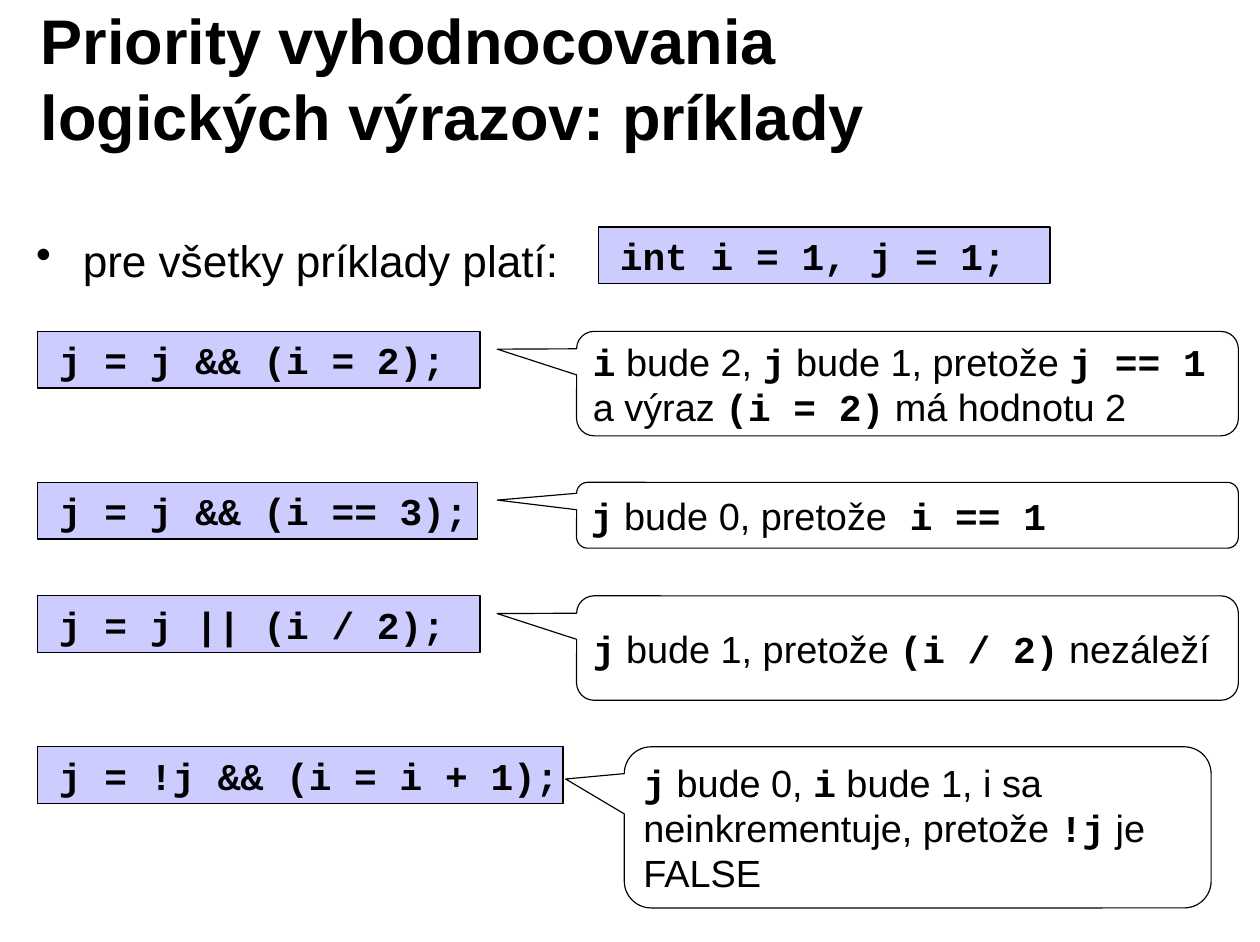
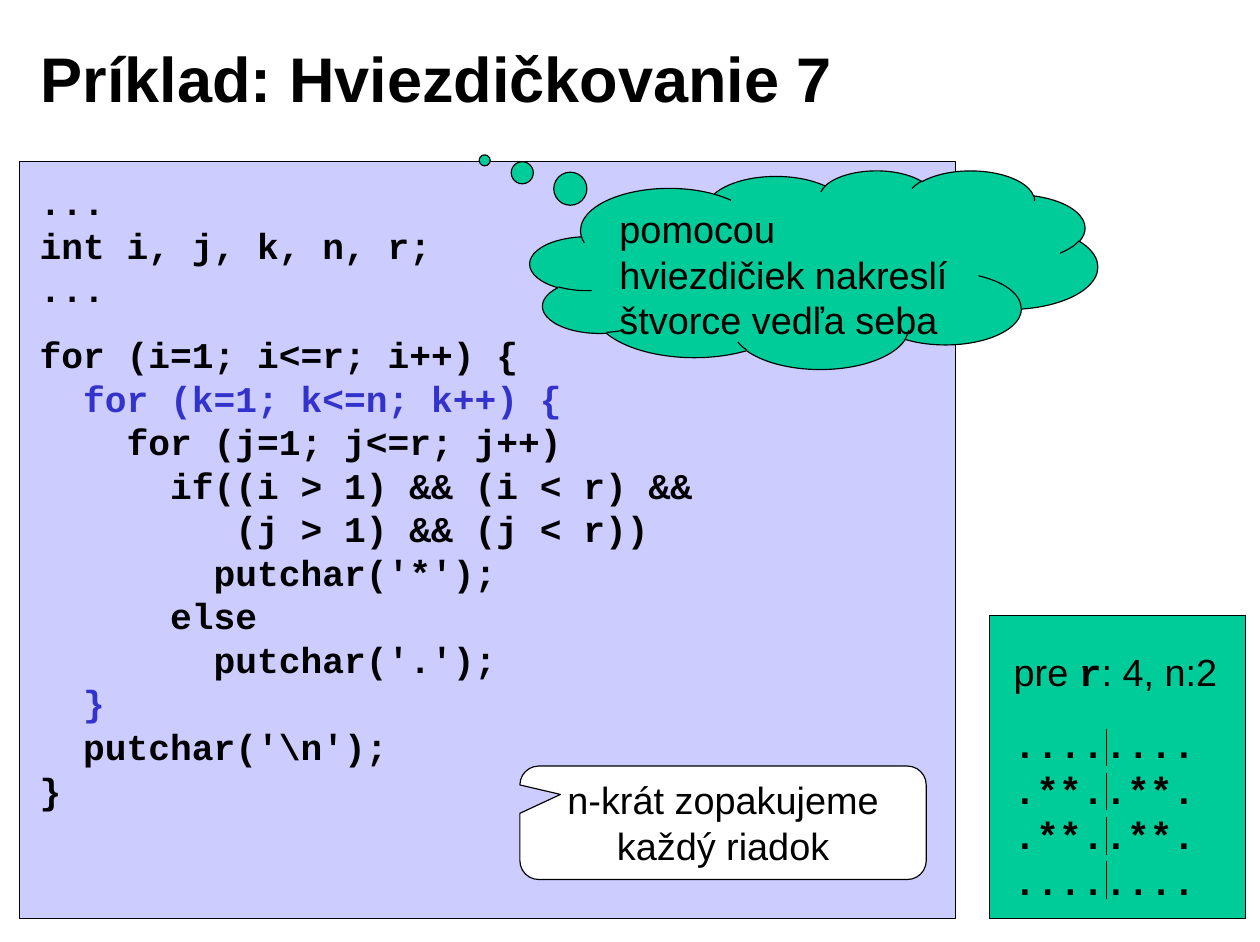
from dataclasses import dataclass

from lxml import etree
from pptx import Presentation
from pptx.dml.color import RGBColor
from pptx.enum.shapes import MSO_CONNECTOR, MSO_SHAPE
from pptx.enum.text import MSO_ANCHOR, PP_ALIGN
from pptx.oxml.ns import qn
from pptx.util import Inches, Pt

BLACK = RGBColor(0x00, 0x00, 0x00)
WHITE = RGBColor(0xFF, 0xFF, 0xFF)
LILAC = RGBColor(0xCC, 0xCC, 0xFF)
GREEN = RGBColor(0x00, 0xCC, 0x99)
BLUE = RGBColor(0x33, 0x33, 0xCC)

SANS, MONO = "Arial", "Courier New"
LEADING = 1.2
EDGE = Pt(0.75)

RECT = MSO_SHAPE.RECTANGLE
BUBBLE = MSO_SHAPE.ROUNDED_RECTANGULAR_CALLOUT
CLOUD = MSO_SHAPE.CLOUD_CALLOUT
STRAIGHT = MSO_CONNECTOR.STRAIGHT
TOP, MIDDLE = MSO_ANCHOR.TOP, MSO_ANCHOR.MIDDLE
LEFT, CENTER = PP_ALIGN.LEFT, PP_ALIGN.CENTER


@dataclass
class Area:
    left: float
    top: float
    width: float
    height: float

    def lengths(self):
        return [Inches(v) for v in (self.left, self.top, self.width, self.height)]


@dataclass
class Line:
    """One paragraph; parts between backticks are code."""
    text: str
    size: float = 24
    color: RGBColor = BLACK
    bold: bool = False
    gap: float = 0
    align: int = LEFT
    bullet: bool = False


@dataclass
class Example:
    """A code strip and the callout that explains it."""
    top: float
    width: float
    code: str
    note: str
    left: float
    span: float
    height: float
    tip: tuple


EXAMPLES = [
    Example(2.92, 3.9, "j = j && (i = 2);",
            "`i` bude 2, `j` bude 1, pretože `j == 1` a výraz `(i = 2)` má hodnotu 2",
            5.08, 5.83, 0.92, (-0.62, -0.33)),
    Example(4.25, 3.88, "j = j && (i == 3);",
            "`j` bude 0, pretože` i == 1`",
            5.08, 5.83, 0.58, (-0.62, -0.23)),
    Example(5.25, 3.9, "j = j || (i / 2);",
            "`j` bude 1, pretože `(i / 2)` nezáleží",
            5.08, 5.83, 0.92, (-0.62, -0.33)),
    Example(6.58, 4.63, "j = !j && (i = i + 1);",
            "`j` bude 0, `i` bude 1, i sa neinkrementuje, pretože `!j` je FALSE",
            5.5, 5.17, 1.42, (-0.6, -0.3)),
]

HEAD = """...
int i, j, k, n, r;
..."""
LOOP = """for (i=1; i<=r; i++) {
  for (k=1; k<=n; k++) {
    for (j=1; j<=r; j++)
      if((i > 1) && (i < r) &&
         (j > 1) && (j < r))
        putchar('*');
      else
        putchar('.');
  }
  putchar('\\n');
}"""
ADDED = ("  for (k=1; k<=n; k++) {", "  }")
STARS = ["........", ".**..**.", ".**..**.", "........"]


def write(frame, lines: list[Line], inset=(0.1, 0.05, 0.1, 0.05), anchor=TOP) -> None:
    frame.word_wrap = True
    frame.vertical_anchor = anchor
    (frame.margin_left, frame.margin_top,
     frame.margin_right, frame.margin_bottom) = [Inches(v) for v in inset]
    for i, line in enumerate(lines):
        para = frame.add_paragraph() if i else frame.paragraphs[0]
        para.alignment = line.align
        para.line_spacing = Pt(line.size * LEADING)
        if line.gap:
            para.space_before = Pt(line.gap)
        if line.bullet:
            props = para._p.get_or_add_pPr()
            props.set("marL", str(Inches(0.41)))
            props.set("indent", str(-Inches(0.41)))
            etree.SubElement(props, qn("a:buChar")).set("char", "•")
        parts = [(text, k % 2 == 1)
                 for k, text in enumerate(line.text.split("`")) if text]
        code = all(mono for _, mono in parts)
        font = para.font
        font.name = MONO if code else SANS
        font.size = Pt(line.size)
        font.bold = line.bold or code
        font.color.rgb = line.color
        for text, mono in parts:
            run = para.add_run()
            run.text = text
            if mono and not code:
                run.font.name = MONO
                run.font.bold = True


def add_text(slide, area: Area, line: Line, anchor=TOP) -> None:
    box = slide.shapes.add_textbox(*area.lengths())
    write(box.text_frame, [line], (0.11, 0.06, 0.11, 0.06), anchor)


def add_box(slide, kind, area: Area, fill: RGBColor, lines: list[Line],
            inset=(0.1, 0.05, 0.1, 0.05), anchor=TOP, tip=()) -> None:
    """Draw an outlined shape with text; tip is where a callout points."""
    shape = slide.shapes.add_shape(kind, *area.lengths())
    shape.shadow.inherit = False
    shape.fill.solid()
    shape.fill.fore_color.rgb = fill
    shape.line.color.rgb = BLACK
    shape.line.width = EDGE
    for i, value in enumerate(tip):
        shape.adjustments[i] = value
    write(shape.text_frame, lines, inset, anchor)


def add_strip(slide, area: Area, code: str) -> None:
    add_box(slide, RECT, area, LILAC, [Line(f"`{code}`")], (0.19, 0.05, 0, 0.05))


def add_rule(slide, x: float, top: float, height: float) -> None:
    rule = slide.shapes.add_connector(
        STRAIGHT, Inches(x), Inches(top), Inches(x), Inches(top + height))
    rule.line.color.rgb = BLACK
    rule.line.width = EDGE
    etree.SubElement(rule._element.spPr, qn("a:effectLst"))


def new_slide(deck, title: str):
    slide = deck.slides.add_slide(deck.slide_layouts[6])
    add_text(slide, Area(0.25, 0.17, 8.92, 1.02),
             Line(title, size=40, bold=True), MIDDLE)
    return slide


def priority_slide(deck) -> None:
    slide = new_slide(deck, "Priority vyhodnocovania logických výrazov: príklady")
    add_strip(slide, Area(5.27, 2, 3.98, 0.5), "int i = 1, j = 1;")
    add_text(slide, Area(0.21, 2, 10.67, 0.67),
             Line("pre všetky príklady platí:", size=28, bullet=True))
    for ex in EXAMPLES:
        add_strip(slide, Area(0.33, ex.top, ex.width, 0.5), ex.code)
        add_box(slide, BUBBLE, Area(ex.left, ex.top, ex.span, ex.height), WHITE,
                [Line(ex.note)], anchor=MIDDLE, tip=ex.tip)


def star_slide(deck) -> None:
    slide = new_slide(deck, "Príklad: Hviezdičkovanie 7")
    code = [Line(f"`{text}`", size=23, color=BLUE if text in ADDED else BLACK)
            for text in (HEAD + "\n" + LOOP).split("\n")]
    code[len(HEAD.split("\n"))].gap = 14.4
    add_box(slide, RECT, Area(0.17, 1.42, 8.25, 6.67), LILAC, code,
            (0.18, 0.16, 0.1, 0.05))
    add_box(slide, CLOUD, Area(4.67, 1.5, 5, 1.75), GREEN,
            [Line("pomocou hviezdičiek nakreslí štvorce vedľa seba")],
            tip=(-0.58, -0.55))
    stars = [Line(f"`{row}`") for row in STARS]
    stars[0].gap = 16.8
    add_box(slide, RECT, Area(8.72, 5.42, 2.25, 2.67), GREEN,
            [Line("pre `r`: 4, n:2"), *stars], (0.21, 0.3, 0, 0.05))
    add_box(slide, BUBBLE, Area(4.58, 6.75, 3.58, 1), WHITE,
            [Line("n-krát zopakujeme každý riadok", align=CENTER)],
            tip=(-0.4, -0.25))
    for row in range(len(STARS)):
        add_rule(slide, 9.75, 6.42 + 0.39 * row, 0.33)


def main() -> None:
    deck = Presentation()
    deck.slide_width, deck.slide_height = Inches(11.1), Inches(8.3)
    priority_slide(deck)
    star_slide(deck)
    deck.save("out.pptx")


if __name__ == "__main__":
    main()
